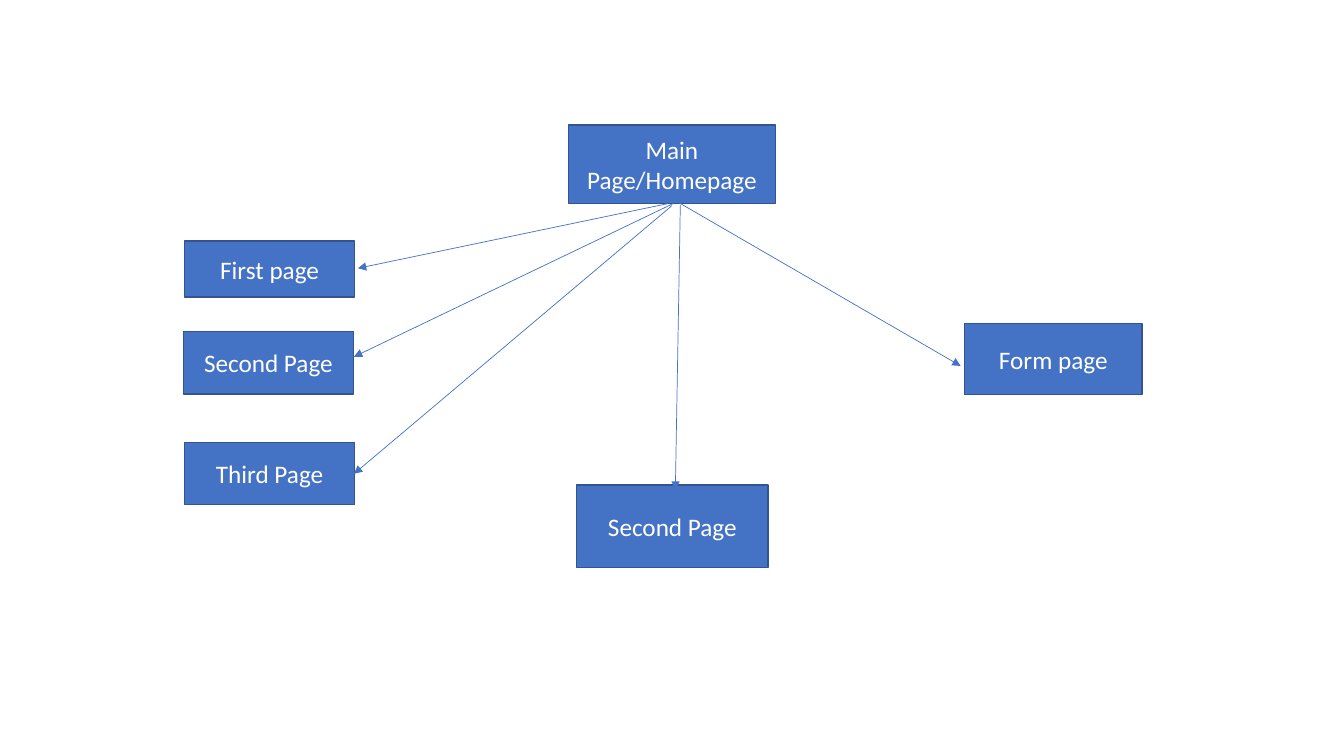
from collections import namedtuple

from lxml import etree
from pptx import Presentation
from pptx import util as u
from pptx.dml.color import RGBColor
from pptx.enum import shapes, text
from pptx.oxml import ns

COLORS = {"page": "4472C4", "border": "325491", "label": "FFFFFF", "link": "4472C4"}
LABEL_FORMAT = {"size": u.Pt(18), "name": "Calibri"}
FRAME_FORMAT = {"word_wrap": True, "vertical_anchor": text.MSO_ANCHOR.MIDDLE}

Box = namedtuple("Box", "left top width height")
Page = namedtuple("Page", "label box start end")

HOME = Box(14.33, 3.15, 5.21, 1.98)
CONTENT_AREA = Box(4.62, 6.07, 4.32, 6.65)
FORM_AREA = Box(24.31, 8.15, 4.47, 1.8)
LOWER_AREA = Box(14.53, 12.22, 4.83, 2.08)

CONTENT_PAGES = [
    Page("First page", Box(0.03, 0, 4.29, 1.42), (-0.1, 0), (4.37, 0.69)),
    Page("Second Page", Box(0, 2.29, 4.29, 1.57), (0.03, 0), (4.3, 0.63)),
    Page("Third Page", Box(0.03, 5.08, 4.29, 1.57), (0, 0.05), (4.27, 0.79)),
]
FORM_PAGES = [Page("Form page", Box(0, 0, 4.47, 1.8), (0.18, -0.02), (-0.1, 1.07))]
LOWER_PAGES = [Page("Second Page", Box(0, 0, 4.83, 2.08), (0.21, 0.03), (2.49, 0.12))]


def apply_format(target, values):
    """Set every attribute named in values on the target."""
    for attribute, value in values.items():
        setattr(target, attribute, value)


def draw_page(slide, box, label):
    """Draw one page of the site as a labelled rectangle."""
    page = slide.shapes.add_shape(shapes.MSO_SHAPE.RECTANGLE, *map(u.Cm, box))
    page.shadow.inherit = False
    page.fill.solid()
    page.fill.fore_color.rgb = RGBColor.from_string(COLORS["page"])
    page.line.color.rgb = RGBColor.from_string(COLORS["border"])
    page.line.width = u.Pt(1)
    apply_format(page.text_frame, FRAME_FORMAT)
    caption = page.text_frame.paragraphs[0]
    caption.alignment = text.PP_ALIGN.CENTER
    run = caption.add_run()
    run.text = label
    apply_format(run.font, LABEL_FORMAT)
    run.font.color.rgb = RGBColor.from_string(COLORS["label"])


def draw_link(slide, start, end):
    """Draw a thin arrow from start to end."""
    link = slide.shapes.add_connector(
        shapes.MSO_CONNECTOR.STRAIGHT, *map(u.Cm, (*start, *end)))
    link.line.color.rgb = RGBColor.from_string(COLORS["link"])
    link.line.width = u.Pt(0.5)
    outline = link.line._get_or_add_ln()
    etree.SubElement(outline, ns.qn("a:tailEnd"), type="triangle")
    etree.SubElement(link._element.spPr, ns.qn("a:effectLst"))


def draw_region(slide, area, home, pages):
    """Draw a group of pages inside the area, each linked from the home page."""
    home_x, home_y = home.left + home.width / 2, home.top + home.height
    for page in pages:
        left, top = area.left + page.box.left, area.top + page.box.top
        draw_page(slide, Box(left, top, page.box.width, page.box.height), page.label)
        draw_link(slide,
                  (home_x + page.start[0], home_y + page.start[1]),
                  (left + page.end[0], top + page.end[1]))


def main():
    """Build the site map slide and save it."""
    deck = Presentation()
    apply_format(deck, {"slide_width": u.Cm(33.87), "slide_height": u.Cm(19.05)})
    slide = deck.slides.add_slide(deck.slide_layouts.get_by_name("Blank"))
    draw_page(slide, HOME, "Main Page/Homepage")
    for area, pages in ((CONTENT_AREA, CONTENT_PAGES),
                        (FORM_AREA, FORM_PAGES),
                        (LOWER_AREA, LOWER_PAGES)):
        draw_region(slide, area, HOME, pages)
    deck.save("out.pptx")


if __name__ == "__main__":
    main()
